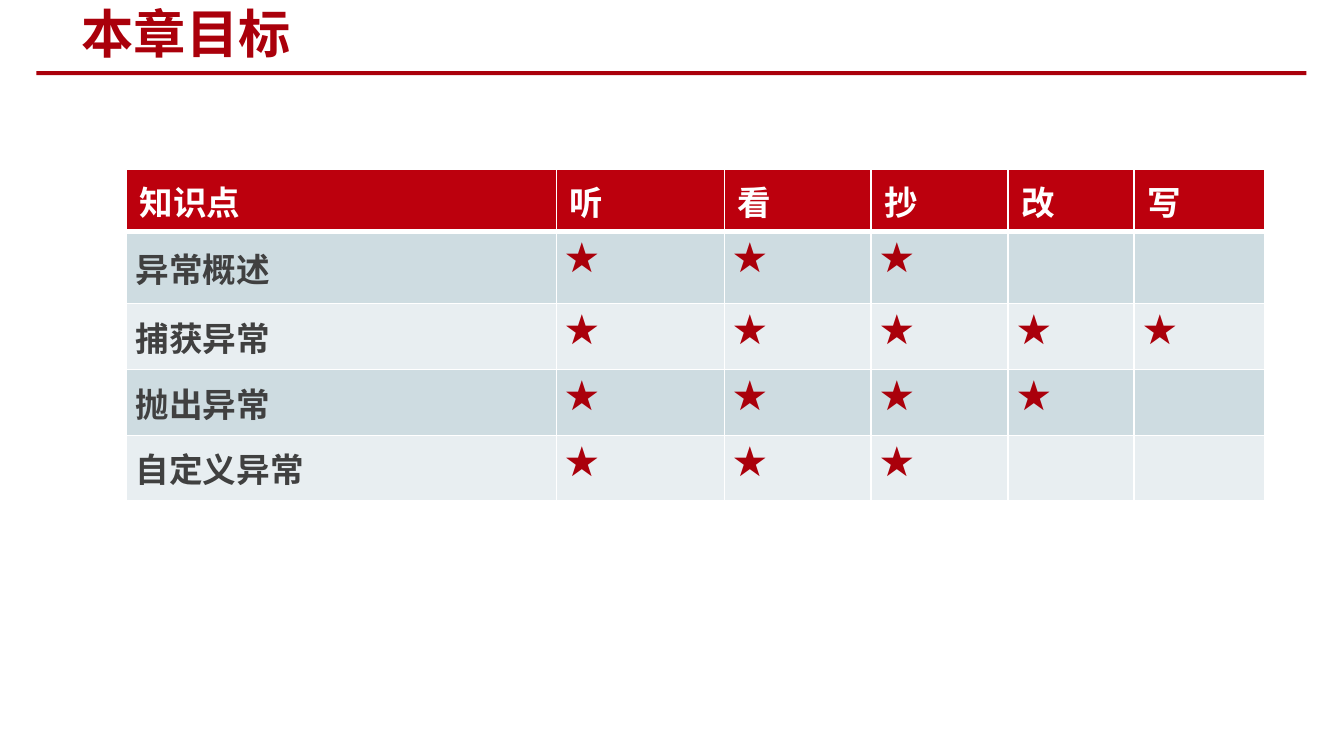
from lxml import etree
from pptx import Presentation
from pptx.dml.color import RGBColor
from pptx.enum.shapes import MSO_SHAPE
from pptx.enum.text import MSO_ANCHOR
from pptx.oxml.ns import qn
from pptx.util import Inches, Pt

FONT = "Noto Sans CJK SC"
RED = RGBColor(0xAA, 0x00, 0x0B)
HEADER_RED = RGBColor(0xBC, 0x00, 0x0D)
WHITE = RGBColor(0xFF, 0xFF, 0xFF)
GRAY = RGBColor(0x40, 0x40, 0x40)
BANDS = [RGBColor(0xCE, 0xDC, 0xE1), RGBColor(0xE8, 0xEE, 0xF1)]


def write(frame, text, size, color):
    run = frame.paragraphs[0].add_run()
    run.text = text
    run.font.size = Pt(size)
    run.font.bold = True
    run.font.name = FONT
    run.font.color.rgb = color
    etree.SubElement(run.font._element, qn("a:ea"), typeface=FONT)


def add_borders(cell, top, bottom):
    props = cell._tc.get_or_add_tcPr()
    for side, width in (("L", 1), ("R", 1), ("T", top), ("B", bottom)):
        line = etree.SubElement(props, qn("a:ln" + side), w=str(int(Pt(width))))
        fill = etree.SubElement(line, qn("a:solidFill"))
        etree.SubElement(fill, qn("a:srgbClr"), val=str(WHITE))


# Widescreen slide, 16:9
prs = Presentation()
prs.slide_width = Inches(10)
prs.slide_height = Inches(10 * 9 / 16)
slide = prs.slides.add_slide(prs.slide_layouts[6])

# Title and rule
rule = slide.shapes.add_shape(
    MSO_SHAPE.RECTANGLE, Inches(0.27), Inches(0.53), Inches(9.45), Inches(0.03))
rule.shadow.inherit = False
rule.fill.solid()
rule.fill.fore_color.rgb = RED
rule.line.fill.background()

title = slide.shapes.add_textbox(Inches(0.51), Inches(0.02), Inches(5.3), Inches(0.45))
title.text_frame.word_wrap = True
title.text_frame.vertical_anchor = MSO_ANCHOR.MIDDLE
write(title.text_frame, "本章目标", 28, RED)

# Table of topics, with the number of stars each one earns
headers = ["知识点", "听", "看", "抄", "改", "写"]
topics = [("异常概述", 3), ("捕获异常", 5), ("抛出异常", 4), ("自定义异常", 3)]
col_widths = [3.2, 1.25, 1.09, 1.02, 0.94, 0.97]
row_heights = [0.46, 0.54, 0.49, 0.49, 0.49]
rows = [headers] + [[name] + ["★"] * stars + [""] * (5 - stars) for name, stars in topics]

table = slide.shapes.add_table(
    len(rows), len(headers), Inches(0.94), Inches(1.26),
    Inches(sum(col_widths)), Inches(sum(row_heights))).table
for column, width in zip(table.columns, col_widths):
    column.width = Inches(width)
for row, height in zip(table.rows, row_heights):
    row.height = Inches(height)

for r, texts in enumerate(rows):
    is_header = r == 0
    for c, text in enumerate(texts):
        cell = table.cell(r, c)
        add_borders(cell, top=3 if r == 1 else 1, bottom=3 if is_header else 1)
        cell.fill.solid()
        cell.fill.fore_color.rgb = HEADER_RED if is_header else BANDS[(r - 1) % 2]
        cell.margin_left = cell.margin_right = Inches(0.1 if is_header else 0.07)
        cell.margin_top = cell.margin_bottom = Inches(0.05 if is_header else 0)
        if c == 0 and not is_header:
            cell.vertical_anchor = MSO_ANCHOR.MIDDLE
        if text:
            write(cell.text_frame, text, 18, WHITE if is_header else GRAY if c == 0 else RED)

prs.save("out.pptx")
